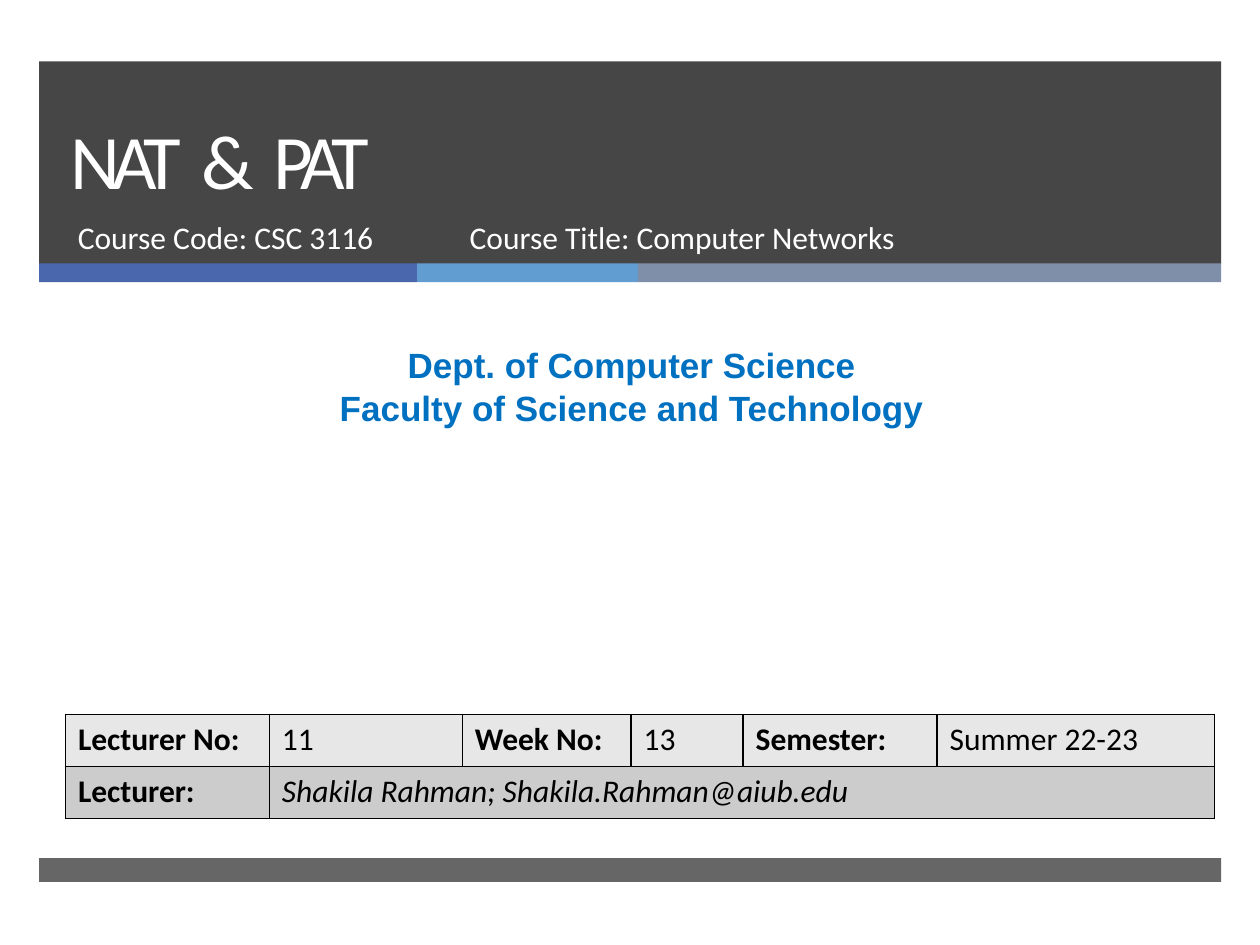
from lxml.etree import SubElement
from pptx import Presentation
from pptx.dml.color import RGBColor
from pptx.enum.shapes import MSO_SHAPE as Preset
from pptx.enum.text import MSO_ANCHOR as Anchor, MSO_AUTO_SIZE as AutoSize, PP_ALIGN as Align
from pptx.oxml.ns import qn
from pptx.util import Cm, Pt

WHITE, BLACK, CHARCOAL, BLUE = "FFFFFF", "000000", "262626", "0070C0"
LEFT, WIDTH = 0.79, 23.83


def colour(value):
    return RGBColor.from_string(value)


def lengths(*values):
    return [Cm(value) for value in values]


class Deck:
    """Holds the style and the current page."""

    def __init__(self):
        self.deck = Presentation()
        self.deck.slide_width, self.deck.slide_height = lengths(25.4, 19.05)
        self.page = self.deck.slides.add_slide(self.deck.slide_layouts[5])
        self.font = {"name": "Calibri", "size": Pt(18), "bold": False, "italic": False}

    def style(self, font, text_colour, **changes):
        for name, value in {**self.font, **changes}.items():
            setattr(font, name, value)
        font.color.rgb = colour(text_colour)

    def bar(self, left, top, width, height, fill, opacity=100):
        bar = self.page.shapes.add_shape(Preset.RECTANGLE, *lengths(left, top, width, height))
        bar.shadow.inherit = False
        bar.line.fill.background()
        bar.fill.solid()
        bar.fill.fore_color.rgb = colour(fill)
        if opacity < 100:
            solid = bar._element.spPr.find(qn("a:solidFill"))
            SubElement(solid[0], qn("a:alpha"), val=str(opacity * 1000))

    def title(self, words, left, top, width, height):
        box = self.page.shapes.title
        self.page.shapes._spTree.append(box._element)  # in front of the banner
        box.left, box.top, box.width, box.height = lengths(left, top, width, height)
        frame = box.text_frame
        frame.auto_size, frame.vertical_anchor = AutoSize.NONE, Anchor.BOTTOM
        para = frame.paragraphs[0]
        para.alignment, para.line_spacing = Align.LEFT, Pt(46)
        for index, word in enumerate(words):
            # Tight letters, slightly open word gaps
            pieces = [(word, -430)] if index == 0 else [(" ", 140), (word, -430)]
            for text, spacing in pieces:
                span = para.add_run()
                span.text = text
                self.style(span.font, WHITE, size=Pt(44))
                span.font._element.set("spc", str(spacing))

    def text(self, lines, left, top, width, height, text_colour, align=Align.LEFT, **changes):
        box = self.page.shapes.add_textbox(*lengths(left, top, width, height))
        frame = box.text_frame
        frame.word_wrap = True
        for index, line in enumerate(lines):
            para = frame.add_paragraph() if index else frame.paragraphs[0]
            para.alignment = align
            span = para.add_run()
            span.text = line
            self.style(span.font, text_colour, **changes)

    def border(self, cell):
        properties = cell._tc.get_or_add_tcPr()
        for index, side in enumerate(("a:lnL", "a:lnR", "a:lnT", "a:lnB")):
            line = properties.makeelement(qn(side), {"w": str(Pt(1))})
            SubElement(SubElement(line, qn("a:solidFill")), qn("a:srgbClr"), val=BLACK)
            properties.insert(index, line)

    def table(self, rows, fills, columns, left, top, row_height):
        frame = self.page.shapes.add_table(
            len(rows), len(columns),
            *lengths(left, top, sum(columns), row_height * len(rows)))
        table = frame.table
        for column, width in zip(table.columns, columns):
            column.width = Cm(width)
        for row, values, fill in zip(table.rows, rows, fills):
            row.height = Cm(row_height)
            for cell in row.cells:
                cell.fill.solid()
                cell.fill.fore_color.rgb = colour(fill)
                self.border(cell)
            for cell, (value, changes) in zip(row.cells, values):
                span = cell.text_frame.paragraphs[0].add_run()
                span.text = value
                self.style(span.font, BLACK, **changes)
        return table


def main():
    deck = Deck()

    # Banner, colour strip and footer bar
    deck.bar(LEFT, 1.24, WIDTH, 4.09, CHARCOAL, 85)
    left = LEFT
    for width, fill in ((7.62, "4A66AC"), (4.45, "629DD1"), (11.76, "7F8FA9")):
        deck.bar(left, 5.31, width, 0.38, fill)
        left += width
    deck.bar(LEFT, 17.3, WIDTH, 0.48, CHARCOAL, 70)

    # Title and course details
    deck.title(["NAT", "&", "PAT"], 1.17, 1.24, 21.69, 3.02)
    deck.text(["Course Code: CSC 3116"], 1.32, 4.27, 7.75, 1.35, WHITE)
    deck.text(["Course Title: Computer Networks"], 9.22, 4.27, 11.56, 1.35, WHITE)

    # Department
    deck.text(["Dept. of Computer Science", "Faculty of Science and Technology"],
              0.2, 6.81, 25.07, 1.96, BLUE, Align.CENTER,
              name="Arial", size=Pt(20), bold=True)

    # Lecture details
    label, plain, slanted = {"bold": True}, {}, {"italic": True}
    rows = [
        [("Lecturer No:", label), ("11", plain), ("Week No:", label),
         ("13", plain), ("Semester:", label), ("Summer 22-23", plain)],
        [("Lecturer:", label), ("Shakila Rahman; Shakila.Rahman@aiub.edu", slanted)],
    ]
    table = deck.table(rows, ["E7E7E7", "CCCCCC"],
                       [4.11, 3.89, 3.4, 2.26, 3.91, 5.59], 1.32, 14.4, 1.05)
    table.cell(1, 1).merge(table.cell(1, 5))

    deck.deck.save("out.pptx")


if __name__ == "__main__":
    main()
